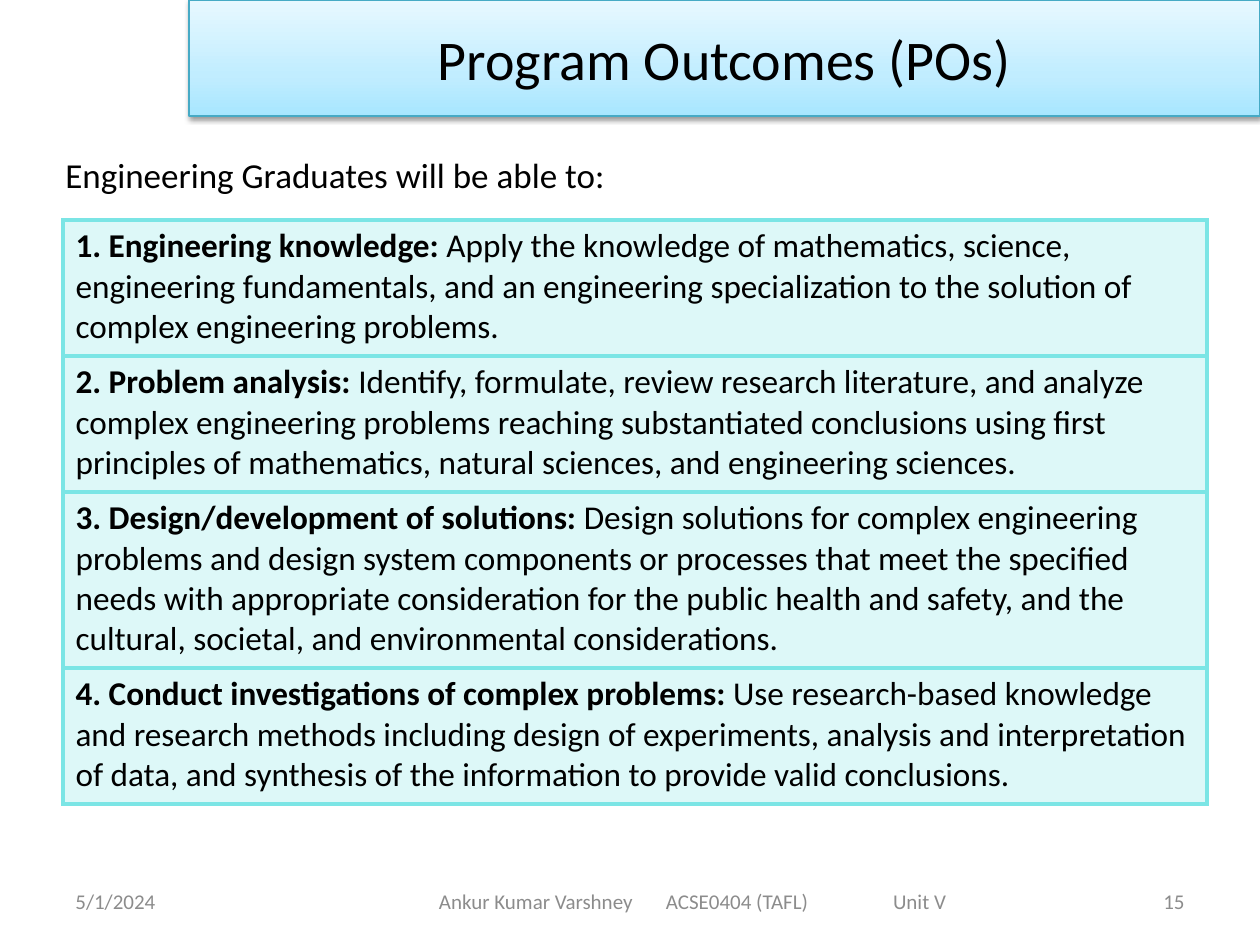
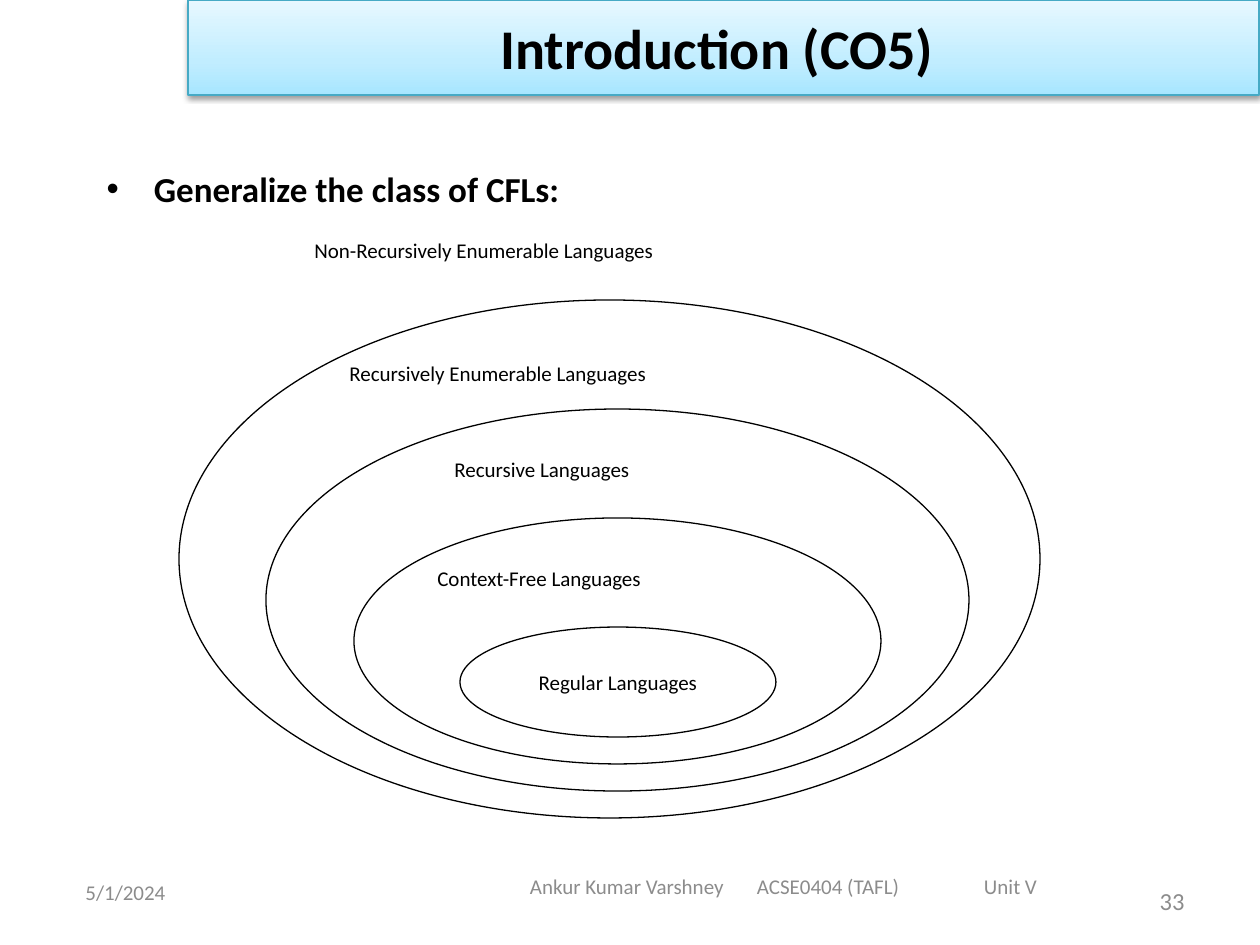
from pptx import Presentation
from pptx import util as u
from pptx.dml.color import RGBColor
from pptx.enum import shapes, text
from pptx.oxml import parse_xml
from pptx.oxml.ns import nsdecls, qn

FONT = "Calibri"
BLACK, GREY, AQUA, BAND_LINE = "000000", "8C8C8C", "7BE5E5", "46AAC5"
LEFT, CENTER, RIGHT = text.PP_ALIGN.LEFT, text.PP_ALIGN.CENTER, text.PP_ALIGN.RIGHT
TOP, MIDDLE = text.MSO_ANCHOR.TOP, text.MSO_ANCHOR.MIDDLE
NS = nsdecls("a")
rgb = RGBColor.from_string

BAND_GEOMETRY = f'<a:prstGeom {NS} prst="rect"><a:avLst/></a:prstGeom>'
BAND_FILL = f"""<a:gradFill {NS} rotWithShape="1"><a:gsLst>
<a:gs pos="0"><a:srgbClr val="A7E6FF"/></a:gs>
<a:gs pos="35000"><a:srgbClr val="C1EDFF"/></a:gs>
<a:gs pos="100000"><a:srgbClr val="E7F8FF"/></a:gs>
</a:gsLst><a:lin ang="16200000" scaled="0"/></a:gradFill>"""
BAND_SHADOW = f"""<a:effectLst {NS}>
<a:outerShdw blurRad="40000" dist="20000" dir="5400000" rotWithShape="0">
<a:srgbClr val="000000"><a:alpha val="38000"/></a:srgbClr>
</a:outerShdw></a:effectLst>"""
FOOTER_TABS = f"""<a:tabLst {NS}><a:tab pos="1647000" algn="l"/>
<a:tab pos="3295000" algn="l"/></a:tabLst>"""


def px(*lengths):
    """Turn lengths in px (126 to the inch) into EMU."""
    return [u.Emu(round(n * 914400 / 126)) for n in lengths]


def put_text(sp, words, size, color=BLACK, bold=False, align=LEFT, anchor=TOP):
    tf = sp.text_frame
    tf.word_wrap = True
    tf.auto_size = text.MSO_AUTO_SIZE.NONE
    tf.vertical_anchor = anchor
    p = tf.paragraphs[0]
    p.text = words
    p.alignment = align
    p.font.name, p.font.size, p.font.bold = FONT, u.Pt(size), bold
    p.font.color.rgb = rgb(color)
    return p


prs = Presentation()
prs.slide_width, prs.slide_height = px(1260, 945)

# Title bands and footers: layout, title, bold, band, date, course and number places
pages = [
    (5, "Program Outcomes (POs)", False, (189, 0, 1071, 116),
     (63, 876), (346, 876), "15", 12),
    (1, "Introduction (CO5) ", True, (188, 0, 1071, 95),
     (73, 867), (437, 861), "33", 14),
]
slides = []
for layout, title, bold, band, date_at, course_at, number, number_size in pages:
    s = prs.slides.add_slide(prs.slide_layouts[layout])
    slides.append(s)

    sp = s.shapes.title
    sp.left, sp.top, sp.width, sp.height = px(*band)
    put_text(sp, title, 32, bold=bold, align=CENTER, anchor=MIDDLE)
    sp.line.color.rgb = rgb(BAND_LINE)
    sp.line.width = u.Pt(0.75)
    ln = sp.line._get_or_add_ln()
    ln.addprevious(parse_xml(BAND_GEOMETRY))
    ln.addprevious(parse_xml(BAND_FILL))
    ln.addnext(parse_xml(BAND_SHADOW))

    date = s.shapes.add_textbox(*px(*date_at, 294, 50))
    put_text(date, "5/1/2024", 12, GREY, anchor=MIDDLE)

    course = s.shapes.add_textbox(*px(*course_at, 693, 50))
    course.text_frame.margin_left = px(93)[0]
    p = course.text_frame.paragraphs[0]
    p._p.get_or_add_pPr().append(parse_xml(FOOTER_TABS))
    put_text(course, "Ankur Kumar Varshney\tACSE0404 (TAFL)\tUnit V", 12, GREY,
             anchor=MIDDLE)

    page = s.shapes.add_textbox(*px(903, 876, 294, 50))
    put_text(page, number, number_size, GREY, align=RIGHT, anchor=MIDDLE)

outcomes_slide, classes_slide = slides

# Program outcomes
intro = outcomes_slide.shapes.add_textbox(*px(53, 147, 580, 55))
put_text(intro, "Engineering Graduates will be able to:", 20)

outcomes = [
    (136, "1. Engineering knowledge:",
     "Apply the knowledge of mathematics, science, engineering fundamentals, and an "
     "engineering specialization to the solution of complex engineering problems."),
    (136, "2. Problem analysis:",
     "Identify, formulate, review research literature, and analyze complex engineering "
     "problems reaching substantiated conclusions using first principles of "
     "mathematics, natural sciences, and engineering sciences."),
    (176, "3. Design/development of solutions:",
     "Design solutions for complex engineering problems and design system components "
     "or processes that meet the specified needs with appropriate consideration for "
     "the public health and safety, and the cultural, societal, and environmental "
     "considerations."),
    (136, "4. Conduct investigations of complex problems:",
     "Use research-based knowledge and research methods including design of "
     "experiments, analysis and interpretation of data, and synthesis of the "
     "information to provide valid conclusions."),
]
table = outcomes_slide.shapes.add_table(len(outcomes), 1, *px(63, 220, 1144, 584)).table
table.first_row = table.horz_banding = False
for row, (height, heading, description) in zip(table.rows, outcomes):
    row.height = px(height)[0]
    cell = row.cells[0]
    p = cell.text_frame.paragraphs[0]
    p.font.name, p.font.size = FONT, u.Pt(19)
    p.font.color.rgb = rgb(BLACK)
    for words, bold in ((heading, True), (" " + description, False)):
        r = p.add_run()
        r.text = words
        r.font.bold = bold

    cell.fill.solid()
    cell.fill.fore_color.rgb = rgb(AQUA)
    tcPr = cell._tc.get_or_add_tcPr()
    tint = tcPr.find(".//" + qn("a:srgbClr"))
    tint.append(parse_xml(f'<a:alpha {NS} val="25000"/>'))
    for i, side in enumerate("LRTB"):
        tcPr.insert(i, parse_xml(
            f'<a:ln{side} {NS} w="28575"><a:solidFill><a:srgbClr val="{AQUA}"/>'
            f"</a:solidFill></a:ln{side}>"))

# Nested language classes
body = classes_slide.placeholders[1]
body.left, body.top, body.width, body.height = px(94, 161, 1061, 742)
p = put_text(body, "Generalize the class of CFLs:", 20, bold=True)
p.space_before = u.Pt(0)

# Each ring rises 109 px above the one inside it and grows 136 px taller
rings = [(460, 316), (354, 527), (266, 703), (179, 861)]
for i, (left, width) in enumerate(rings):
    sp = classes_slide.shapes.add_shape(
        shapes.MSO_SHAPE.OVAL, *px(left, 627 - 109 * i, width, 110 + 136 * i))
    sp.shadow.inherit = False
    sp.fill.background()
    sp.line.color.rgb = rgb(BLACK)
    sp.line.width = u.Pt(0.75)
    if i == 0:
        put_text(sp, "Regular Languages", 12, align=CENTER, anchor=MIDDLE)
        sp.text_frame.word_wrap = False

ring_labels = [
    (425, 559, 389, "Context-Free Languages"),
    (442, 450, 345, "Recursive Languages"),
    (337, 354, 552, "Recursively Enumerable Languages"),
    (302, 231, 624, "Non-Recursively Enumerable Languages"),
]
for left, top, width, words in ring_labels:
    put_text(classes_slide.shapes.add_textbox(*px(left, top, width, 49)), words, 12)

prs.save("out.pptx")
